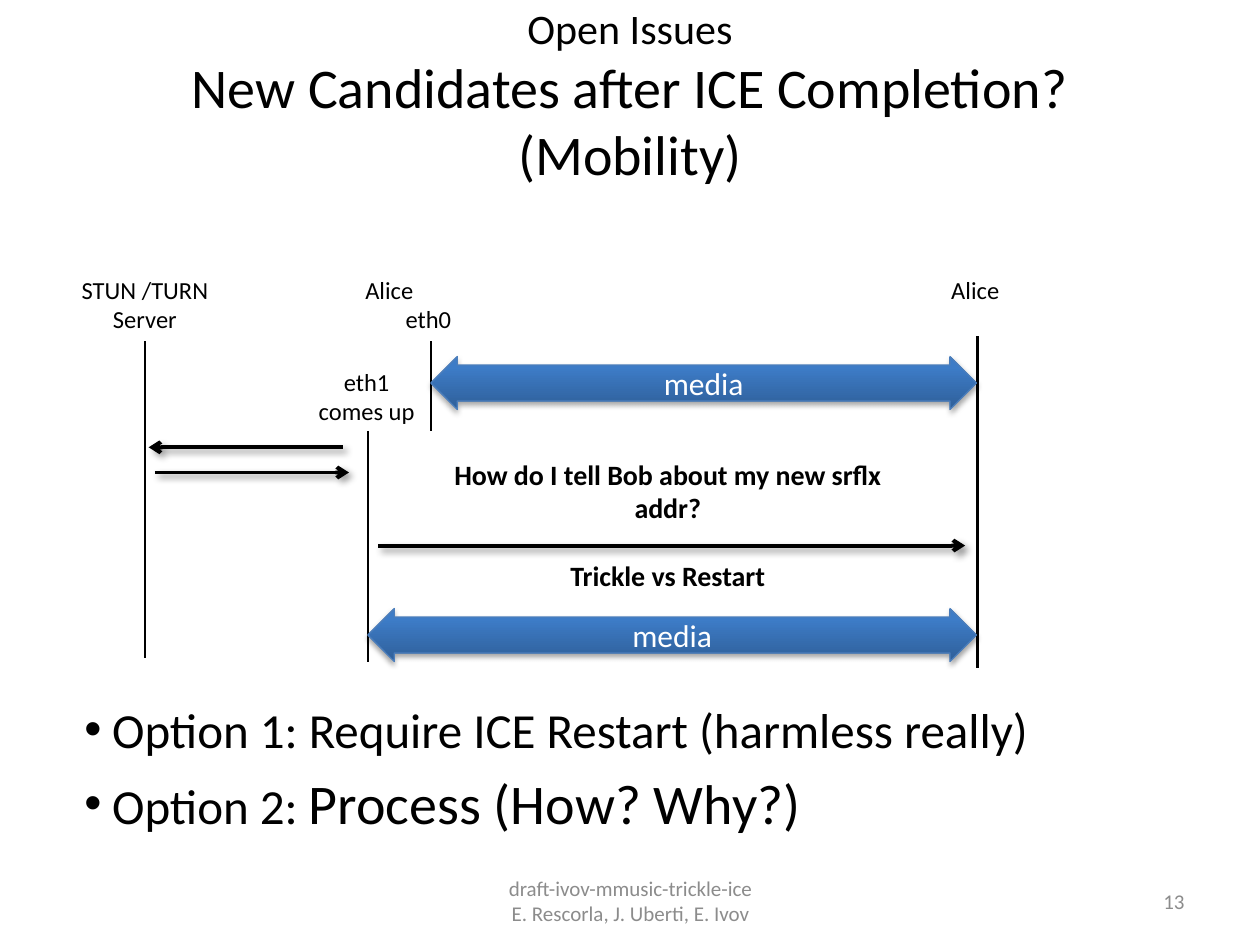
from lxml import etree
from pptx import Presentation
from pptx.dml.color import RGBColor
from pptx.enum.shapes import MSO_CONNECTOR, MSO_SHAPE
from pptx.enum.text import MSO_ANCHOR, PP_ALIGN
from pptx.oxml.ns import qn
from pptx.util import Inches, Pt

BLACK = RGBColor(0x00, 0x00, 0x00)
WHITE = RGBColor(0xFF, 0xFF, 0xFF)
GRAY = RGBColor(0x8C, 0x8C, 0x8C)
BLUE_DARK = RGBColor(0x2F, 0x5F, 0x99)
BLUE_LIGHT = RGBColor(0x3D, 0x7C, 0xC7)
BLUE_EDGE = RGBColor(0x4B, 0x7E, 0xBC)

FONT = "Calibri"
LEFT, CENTER, RIGHT = PP_ALIGN.LEFT, PP_ALIGN.CENTER, PP_ALIGN.RIGHT
TOP, MIDDLE = MSO_ANCHOR.TOP, MSO_ANCHOR.MIDDLE
STRAIGHT = MSO_CONNECTOR.STRAIGHT


def style_run(run, size, color=BLACK, bold=False):
    run.font.name = FONT
    run.font.size = Pt(size)
    run.font.bold = bold
    run.font.color.rgb = color


def write(shape, text, size, color=BLACK, align=CENTER, anchor=TOP, bold=False):
    """Fill a shape with text, one paragraph per line, in one style."""
    frame = shape.text_frame
    frame.text = text
    frame.word_wrap = True
    frame.vertical_anchor = anchor
    for para in frame.paragraphs:
        para.alignment = align
        for run in para.runs:
            style_run(run, size, color, bold)


def place(shape, box):
    shape.left, shape.top, shape.width, shape.height = map(Inches, box)


def add_label(page, box, text, size=14, **style):
    label = page.shapes.add_textbox(*map(Inches, box))
    write(label, text, size, **style)
    return label


def add_shadow(effects, alpha, blur, distance, angle):
    """Put a black outer shadow (percent, points, degrees) in an effect list."""
    shadow = etree.SubElement(
        effects, qn("a:outerShdw"), blurRad=str(Pt(blur)), dist=str(Pt(distance)),
        dir=str(angle * 60000), rotWithShape="0")
    color = etree.SubElement(shadow, qn("a:srgbClr"), val="000000")
    etree.SubElement(color, qn("a:alpha"), val=str(alpha * 1000))


def add_line(page, start, end, width):
    """Draw a black line and return it with its empty effect list."""
    line = page.shapes.add_connector(STRAIGHT, *map(Inches, start + end))
    line.line.color.rgb = BLACK
    line.line.width = Pt(width)
    effects = etree.SubElement(line._element.spPr, qn("a:effectLst"))
    return line, effects


def add_message(page, start, end):
    """Draw a shadowed arrow from start to end."""
    arrow, effects = add_line(page, start, end, 2.25)
    etree.SubElement(arrow.line._get_or_add_ln(), qn("a:tailEnd"), type="arrow")
    add_shadow(effects, 40, 4, 3, 45)


def add_media(page, left, right, top):
    """Draw a two-way media arrow between two lifelines."""
    arrow = page.shapes.add_shape(
        MSO_SHAPE.LEFT_RIGHT_ARROW,
        *map(Inches, (left, top, right - left, 0.42)))
    arrow.adjustments[0] = 0.68
    arrow.adjustments[1] = 0.5
    arrow.fill.gradient()
    arrow.fill.gradient_angle = 90
    for stop, color, position in zip(
            arrow.fill.gradient_stops, (BLUE_DARK, BLUE_LIGHT), (0, 0.8)):
        stop.color.rgb = color
        stop.position = position
    arrow.line.color.rgb = BLUE_EDGE
    arrow.line.width = Pt(0.75)
    arrow.shadow.inherit = False
    add_shadow(arrow._element.spPr.find(qn("a:effectLst")), 35, 3.1, 1.8, 90)
    write(arrow, "media", 18, color=WHITE, anchor=MIDDLE)


def fill_title(page, box):
    title = page.shapes.title
    place(title, box)
    write(title, "Open Issues\vNew Candidates after ICE Completion? (Mobility)",
          32, anchor=MIDDLE)
    title.text_frame.paragraphs[0].runs[0].font.size = Pt(24)


def fill_options(page, box):
    body = page.placeholders[1]
    place(body, box)
    options = (
        (("Option 1: Require ICE Restart (harmless really)", 28),),
        (("Option 2: ", 28), ("Process (How? Why?)", 32)),
    )
    frame = body.text_frame
    for index, parts in enumerate(options):
        para = frame.add_paragraph() if index else frame.paragraphs[0]
        para.alignment = LEFT
        para.space_before = Pt(6 if index else 0)
        properties = para._p.get_or_add_pPr()
        properties.set("marL", str(Inches(0.62)))
        properties.set("indent", str(Inches(-0.22)))
        etree.SubElement(properties, qn("a:buChar"), char="•")
        for text, size in parts:
            run = para.add_run()
            run.text = text
            style_run(run, size)


def add_question(page, box):
    question = page.shapes.add_shape(MSO_SHAPE.RECTANGLE, *map(Inches, box))
    question.fill.solid()
    question.fill.fore_color.rgb = WHITE
    question.line.fill.background()
    question.shadow.inherit = False
    write(question, "How do I tell Bob about my new srflx addr?\nTrickle vs Restart",
          16, bold=True)
    question.text_frame.paragraphs[1].space_before = Pt(19.5)


def add_sequence(page, box):
    """Draw the call flow between server, Alice's interfaces and the peer."""
    left, top, width, height = box
    right, bottom = left + width, top + height
    server, eth1, eth0, peer = left + 0.75, left + 2.52, left + 3.02, right - 0.33

    for x, start, end in (
            (peer, 0.54, 3.17), (server, 0.58, 3.09),
            (eth0, 0.58, 1.29), (eth1, 1.29, 3.12)):
        add_line(page, (x, top + start), (x, top + end), 1.5)

    add_question(page, (eth0 + 0.07, top + 1.45, 3.62, 1.18))
    add_message(page, (eth1 - 0.2, top + 1.42), (server + 0.03, top + 1.42))
    add_message(page, (server + 0.08, top + 1.62), (eth1 - 0.15, top + 1.62))
    add_message(page, (eth1 + 0.08, top + 2.2), (peer - 0.1, top + 2.2))

    for text, center, offset, label_width, label_height in (
            ("STUN /TURN\vServer", server, 0, 1.49, 0.33),
            ("Alice", eth0 - 0.33, 0, 0.69, 0.22),
            ("eth0", eth0 - 0.02, 0.23, 0.69, 0.22),
            ("eth1\vcomes up", eth1 - 0.01, 0.73, 1.35, 0.72),
            ("Alice", peer - 0.02, 0, 0.69, 0.22)):
        add_label(page, (center - label_width / 2, top + offset,
                         label_width, label_height), text)

    add_media(page, eth0, peer - 0.01, top + 0.7)
    add_media(page, eth1, peer - 0.01, bottom - 0.47)


def add_footer(page, box):
    left, top, width, height = box
    add_label(page, (left, top, 3.17, height),
              "draft-ivov-mmusic-trickle-ice\vE. Rescorla, J. Uberti, E. Ivov",
              12, color=GRAY, anchor=MIDDLE)
    add_label(page, (left + width - 2.33, top, 2.33, height), "13",
              12, color=GRAY, align=RIGHT, anchor=MIDDLE)


def main():
    deck = Presentation()
    deck.slide_width, deck.slide_height = Inches(10), Inches(7.5)
    page = deck.slides.add_slide(deck.slide_layouts[1])
    fill_title(page, (0.5, 0.25, 9, 1))
    fill_options(page, (0.17, 5.5, 9.33, 1.33))
    add_sequence(page, (0.4, 2.13, 7.69, 3.17))
    add_footer(page, (3.42, 6.95, 6.08, 0.4))
    deck.save("out.pptx")


if __name__ == "__main__":
    main()
